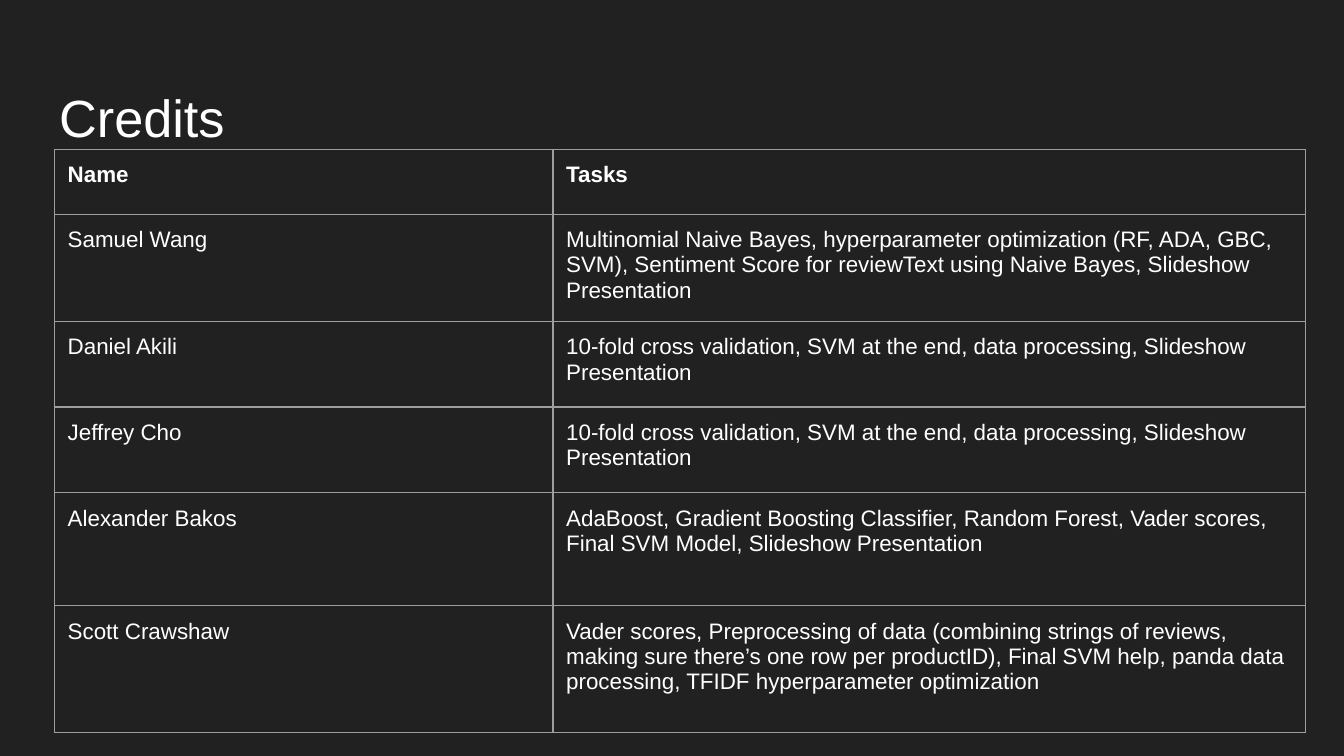
from lxml.etree import SubElement
from pptx import Presentation
from pptx.dml.color import RGBColor
from pptx.oxml.ns import qn
from pptx.util import Cm, Pt

BACKGROUND = RGBColor(0x21, 0x21, 0x21)
WHITE = RGBColor(0xFF, 0xFF, 0xFF)
GRID = RGBColor(0x9E, 0x9E, 0x9E)
INSET = Cm(0.25)


def add_text(paragraph, text, size, bold=False):
    run = paragraph.add_run()
    run.text = text
    run.font.name = "Arial"
    run.font.size = Pt(size)
    run.font.bold = bold
    run.font.color.rgb = WHITE


def add_borders(cell):
    properties = cell._tc.get_or_add_tcPr()
    for side in ("a:lnL", "a:lnR", "a:lnT", "a:lnB"):
        line = SubElement(properties, qn(side), w=str(Pt(0.75)))
        fill = SubElement(line, qn("a:solidFill"))
        SubElement(fill, qn("a:srgbClr"), val=str(GRID))


shared_tasks = "10-fold cross validation, SVM at the end, data processing, Slideshow Presentation"
credits = [
    ("Name", "Tasks", 1.23),
    ("Samuel Wang",
     "Multinomial Naive Bayes, hyperparameter optimization (RF, ADA, GBC, SVM), "
     "Sentiment Score for reviewText using Naive Bayes, Slideshow Presentation", 1.93),
    ("Daniel Akili", shared_tasks, 1.62),
    ("Jeffrey Cho", shared_tasks, 1.62),
    ("Alexander Bakos",
     "AdaBoost, Gradient Boosting Classifier, Random Forest, Vader scores, "
     "Final SVM Model, Slideshow Presentation", 2.13),
    ("Scott Crawshaw",
     "Vader scores, Preprocessing of data (combining strings of reviews, "
     "making sure there’s one row per productID), Final SVM help, panda data "
     "processing, TFIDF hyperparameter optimization", 2.4),
]
column_widths = [9.42, 14.22]

prs = Presentation()
prs.slide_width = Cm(25.4)
prs.slide_height = Cm(14.29)
slide = prs.slides.add_slide(prs.slide_layouts[6])
slide.background.fill.solid()
slide.background.fill.fore_color.rgb = BACKGROUND

title = slide.shapes.add_textbox(Cm(0.87), Cm(1.25), Cm(23.67), Cm(1.59)).text_frame
title.word_wrap = True
title.margin_left = title.margin_right = INSET
title.margin_top = Cm(0.36)
title.margin_bottom = 0
add_text(title.paragraphs[0], "Credits", 28)

table_height = sum(height for _, _, height in credits)
table = slide.shapes.add_table(
    len(credits), len(column_widths),
    Cm(1.03), Cm(2.82), Cm(sum(column_widths)), Cm(table_height),
).table
table.horz_banding = False
for column, width in zip(table.columns, column_widths):
    column.width = Cm(width)

for index, (name, tasks, height) in enumerate(credits):
    table.rows[index].height = Cm(height)
    for cell, text in zip(table.rows[index].cells, (name, tasks)):
        cell.margin_left = cell.margin_right = INSET
        cell.margin_top = cell.margin_bottom = INSET
        add_borders(cell)
        cell.fill.background()
        add_text(cell.text_frame.paragraphs[0], text, 12, bold=index == 0)

prs.save("out.pptx")
